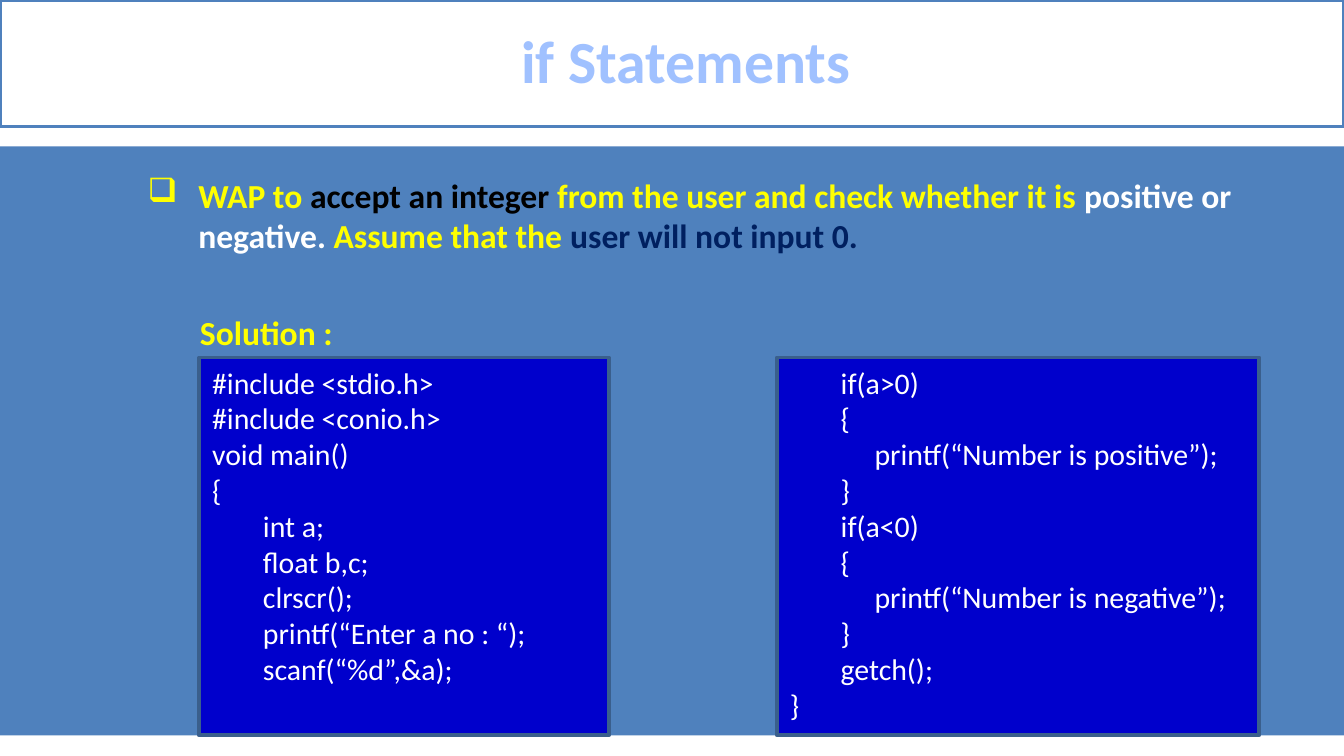
"""Builds the slide on if statements with its exercise and C solution."""
from dataclasses import dataclass

from lxml import etree
from pptx import Presentation
from pptx import util as u
from pptx.dml.color import RGBColor
from pptx.enum import shapes, text
from pptx.oxml import ns


@dataclass(frozen=True)
class Theme:
    font: str = "Calibri"
    title_size: int = 32
    body_size: int = 18
    code_size: int = 16
    white: str = "FFFFFF"
    black: str = "000000"
    band: str = "4F81BD"
    title: str = "A0C1FF"
    accent: str = "FFFF00"
    navy: str = "002060"
    panel: str = "0000CC"
    panel_edge: str = "3A5F8C"


class SlideBuilder:
    def __init__(self, slide, theme):
        self.slide = slide
        self.theme = theme

    def style_font(self, font, size, color, bold=False):
        font.name = self.theme.font
        font.size = u.Pt(size)
        font.bold = bold
        font.color.rgb = RGBColor.from_string(color)

    def paint(self, shape, fill, edge=None):
        shape.fill.solid()
        shape.fill.fore_color.rgb = RGBColor.from_string(fill)
        if edge:
            shape.line.color.rgb = RGBColor.from_string(edge)
            shape.line.width = u.Pt(2)
        else:
            shape.line.fill.background()

    def indent(self, paragraph, left, first=0):
        properties = paragraph._p.get_or_add_pPr()
        properties.set("marL", str(u.Cm(left)))
        properties.set("indent", str(u.Cm(first)))
        return properties

    def title(self, wording, width, height):
        heading = self.slide.shapes.title
        heading.left, heading.top = u.Cm(0), u.Cm(0)
        heading.width, heading.height = u.Cm(width), u.Cm(height)
        self.paint(heading, self.theme.white, self.theme.band)
        frame = heading.text_frame
        frame.text = wording
        frame.auto_size = text.MSO_AUTO_SIZE.NONE
        frame.vertical_anchor = text.MSO_ANCHOR.MIDDLE
        line = frame.paragraphs[0]
        self.indent(line, 0.53)
        line.alignment = text.PP_ALIGN.CENTER
        line.line_spacing = 0.96
        self.style_font(line.font, self.theme.title_size, self.theme.title, True)

    def rectangle(self, left, top, width, height, fill, edge=None):
        box = self.slide.shapes.add_shape(
            shapes.MSO_SHAPE.RECTANGLE, u.Cm(left), u.Cm(top), u.Cm(width), u.Cm(height))
        box.shadow.inherit = False
        self.paint(box, fill, edge)
        return box

    def statement(self, left, top, width, height, parts, bullet=None):
        box = self.slide.shapes.add_textbox(u.Cm(left), u.Cm(top), u.Cm(width), u.Cm(height))
        box.text_frame.word_wrap = True
        line = box.text_frame.paragraphs[0]
        if bullet:
            properties = self.indent(line, 3.5, -0.96)
            etree.SubElement(properties, ns.qn("a:buChar"), char=bullet)
        self.style_font(line.font, self.theme.body_size, self.theme.accent, True)
        for wording, color in parts:
            run = line.add_run()
            run.text = wording
            run.font.color.rgb = RGBColor.from_string(color)

    def code_panel(self, left, top, width, height, lines):
        frame = self.rectangle(
            left, top, width, height, self.theme.panel, self.theme.panel_edge).text_frame
        frame.vertical_anchor = text.MSO_ANCHOR.TOP
        frame.word_wrap = True
        for number, (indent, code) in enumerate(lines):
            line = frame.add_paragraph() if number else frame.paragraphs[0]
            line.text = code
            line.alignment = text.PP_ALIGN.LEFT
            self.indent(line, indent)
            self.style_font(line.font, self.theme.code_size, self.theme.white)


def main():
    deck = Presentation()
    deck.slide_width, deck.slide_height = u.Cm(25.4), u.Cm(14.29)
    theme = Theme()
    page = SlideBuilder(deck.slides.add_slide(deck.slide_layouts[5]), theme)

    page.title("if Statements", 25.4, 2.39)
    page.rectangle(0, 2.77, 25.4, 11.13, theme.band)
    page.statement(0, 3.18, 25.4, 1.8, [
        ("WAP to ", theme.accent),
        ("accept an integer", theme.black),
        (" from the user and check whether it is ", theme.accent),
        ("positive or negative.", theme.white),
        (" Assume that the ", theme.accent),
        ("user will not input 0.", theme.navy),
    ], bullet="❑")
    page.statement(3.53, 5.77, 4.4, 1.02, [("Solution :", theme.accent)])

    outer, body, nested = 0, 0.96, 1.6
    declarations = [
        (outer, "#include <stdio.h>"),
        (outer, "#include <conio.h>"),
        (outer, "void main()"),
        (outer, "{"),
        (body, "int a;"),
        (body, "float b,c;"),
        (body, "clrscr();"),
        (body, "printf(“Enter a no : “);"),
        (body, "scanf(“%d”,&a);"),
    ]
    checks = []
    for condition, sign in (("a>0", "positive"), ("a<0", "negative")):
        checks += [
            (body, f"if({condition})"),
            (body, "{"),
            (nested, f"printf(“Number is {sign}”);"),
            (body, "}"),
        ]
    checks += [(body, "getch();"), (outer, "}")]
    panel_top, panel_height = 6.76, 7.14
    page.code_panel(3.76, panel_top, 7.75, panel_height, declarations)
    page.code_panel(14.68, panel_top, 9.12, panel_height, checks)

    deck.save("out.pptx")


if __name__ == "__main__":
    main()
